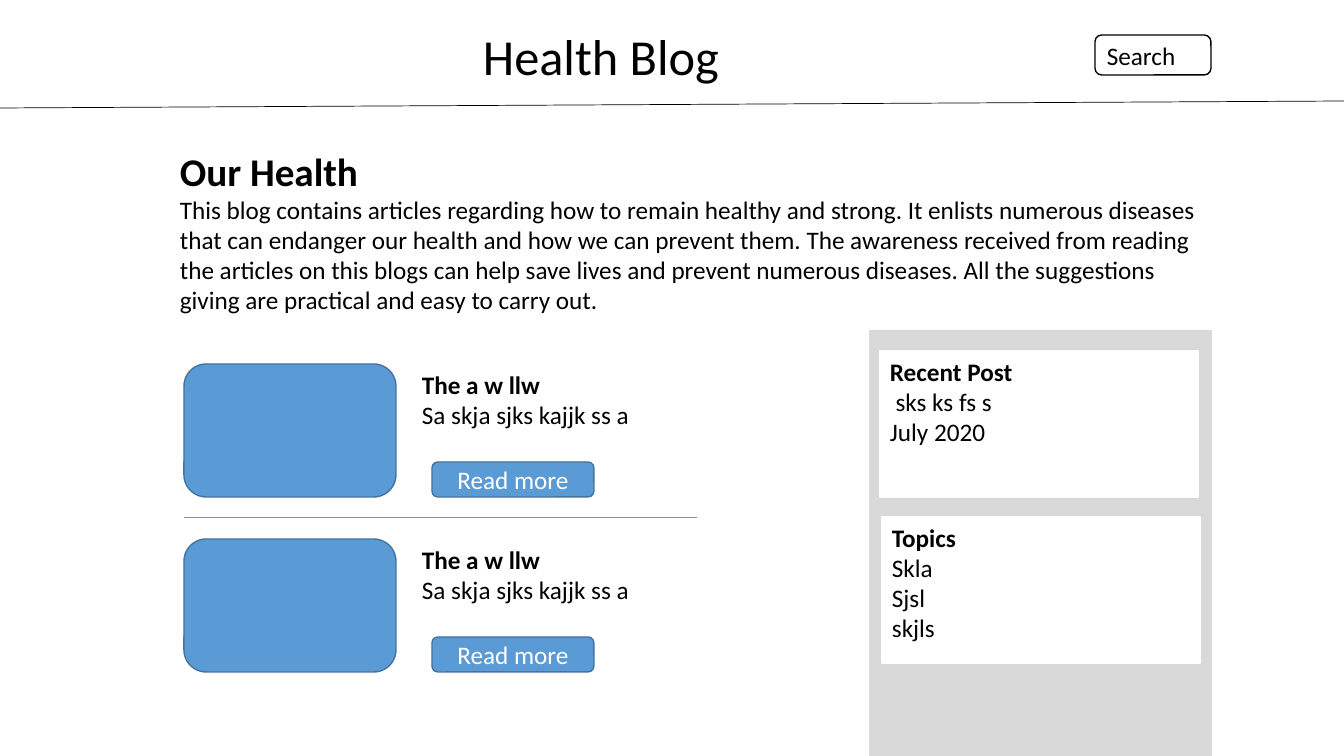
import dataclasses
import typing

import pptx
import pptx.dml.color
import pptx.enum.shapes
import pptx.enum.text
import pptx.oxml.ns
import pptx.util
from lxml import etree

SCALE = 914400 / 100.8
FONT = "Calibri"
BLACK = pptx.dml.color.RGBColor(0x00, 0x00, 0x00)
WHITE = pptx.dml.color.RGBColor(0xFF, 0xFF, 0xFF)
GREY = pptx.dml.color.RGBColor(0xD9, 0xD9, 0xD9)
BLUE = pptx.dml.color.RGBColor(0x5B, 0x9B, 0xD5)
NAVY = pptx.dml.color.RGBColor(0x43, 0x73, 0x9E)

RECT = pptx.enum.shapes.MSO_SHAPE.RECTANGLE
ROUND = pptx.enum.shapes.MSO_SHAPE.ROUNDED_RECTANGLE
LEFT = pptx.enum.text.PP_ALIGN.LEFT
CENTER = pptx.enum.text.PP_ALIGN.CENTER
TOP = pptx.enum.text.MSO_ANCHOR.TOP
MIDDLE = pptx.enum.text.MSO_ANCHOR.MIDDLE

ABOUT = (
    "This blog contains articles regarding how to remain healthy and strong. "
    "It enlists numerous diseases that can endanger our health and how we can "
    "prevent them. The awareness received from reading the articles on this "
    "blogs can help save lives and prevent numerous diseases. All the "
    "suggestions giving are practical and easy to carry out."
)


@dataclasses.dataclass(frozen=True)
class Line:
    """A line of text; a joined one follows a break in the same paragraph."""
    text: str
    size: int = 18
    bold: bool = False
    color: pptx.dml.color.RGBColor = BLACK
    joined: bool = False


@dataclasses.dataclass(frozen=True)
class Box:
    """A box in pixels; without a shape it is a plain text box."""
    left: int
    top: int
    width: int
    height: int
    lines: tuple[Line, ...] = ()
    shape: typing.Optional[pptx.enum.shapes.MSO_SHAPE] = None
    fill: pptx.dml.color.RGBColor = WHITE
    edge: pptx.dml.color.RGBColor = WHITE
    align: pptx.enum.text.PP_ALIGN = LEFT
    anchor: pptx.enum.text.MSO_ANCHOR = TOP


@dataclasses.dataclass(frozen=True)
class Rule:
    """A thin straight line in pixels."""
    left: int
    start: int
    right: int
    end: int
    color: pptx.dml.color.RGBColor


def scale(*pixels: int) -> list[pptx.util.Emu]:
    """Turn pixels into EMU."""
    return [pptx.util.Emu(round(value * SCALE)) for value in pixels]


def assign(target: typing.Any, values: dict[str, typing.Any]) -> None:
    """Set each named attribute."""
    for name, value in values.items():
        setattr(target, name, value)


def write(frame: typing.Any, box: Box) -> None:
    """Write the lines of a box into its text frame."""
    assign(frame, {"word_wrap": True, "vertical_anchor": box.anchor})
    para = frame.paragraphs[0]
    for index, line in enumerate(box.lines):
        if line.joined:
            para.add_line_break()
        elif index:
            para = frame.add_paragraph()
        para.alignment = box.align
        run = para.add_run()
        run.text = line.text
        assign(run.font, {"name": FONT, "size": pptx.util.Pt(line.size), "bold": line.bold})
        run.font.color.rgb = line.color


def draw(slide: typing.Any, box: Box) -> None:
    """Draw a box and its text."""
    place = scale(box.left, box.top, box.width, box.height)
    if box.shape is None:
        item = slide.shapes.add_textbox(*place)
    else:
        item = slide.shapes.add_shape(box.shape, *place)
        item.shadow.inherit = False
        item.fill.solid()
        item.fill.fore_color.rgb = box.fill
        item.line.color.rgb = box.edge
        item.line.width = pptx.util.Pt(1)
    write(item.text_frame, box)


def link(slide: typing.Any, rule: Rule) -> None:
    """Draw a rule without a shadow."""
    item = slide.shapes.add_connector(
        pptx.enum.shapes.MSO_CONNECTOR.STRAIGHT,
        *scale(rule.left, rule.start, rule.right, rule.end),
    )
    item.line.color.rgb = rule.color
    item.line.width = pptx.util.Pt(0.5)
    etree.SubElement(item._element.spPr, pptx.oxml.ns.qn("a:effectLst"))


def panel(left: int, top: int, title: str, *items: str) -> Box:
    """Make a white side panel with a bold title."""
    lines = (Line(title, bold=True), *map(Line, items))
    return Box(left, top, 318, 146, lines, RECT)


def post(top: int) -> list[Box]:
    """Make a post: thumbnail, summary and button."""
    words = (Line("The a w llw", bold=True), Line("Sa skja sjks kajjk ss a"))
    label = (Line("Read more", color=WHITE),)
    return [
        Box(184, top, 212, 133, shape=ROUND, fill=BLUE, edge=NAVY),
        Box(412, top, 260, 132, words),
        Box(432, top + 98, 162, 35, label, ROUND, BLUE, NAVY, CENTER, MIDDLE),
    ]


HEADER = [
    Box(473, 20, 407, 72, (Line("Health Blog", 36),)),
    Box(1095, 35, 116, 40, (Line("Search"),), ROUND, edge=BLACK, anchor=MIDDLE),
    Box(170, 142, 1040, 179, (Line("Our Health", 28, True), Line(ABOUT, joined=True))),
]
SIDE = [
    Box(870, 331, 341, 425, shape=RECT, fill=GREY, edge=GREY),
    panel(880, 351, "Recent Post", " sks ks fs s", "July 2020"),
    panel(882, 517, "Topics", "Skla", "Sjsl", "skjls"),
]
POSTS = [box for top in (364, 539) for box in post(top)]
RULES = [Rule(0, 108, 1344, 101, BLACK), Rule(184, 517, 697, 517, BLUE)]


def main() -> None:
    """Build and save the slide."""
    deck = pptx.Presentation()
    width, height = scale(1344, 756)
    assign(deck, {"slide_width": width, "slide_height": height})
    slide = deck.slides.add_slide(deck.slide_layouts[6])
    for rule in RULES:
        link(slide, rule)
    for box in HEADER + SIDE + POSTS:
        draw(slide, box)
    deck.save("out.pptx")


main()
